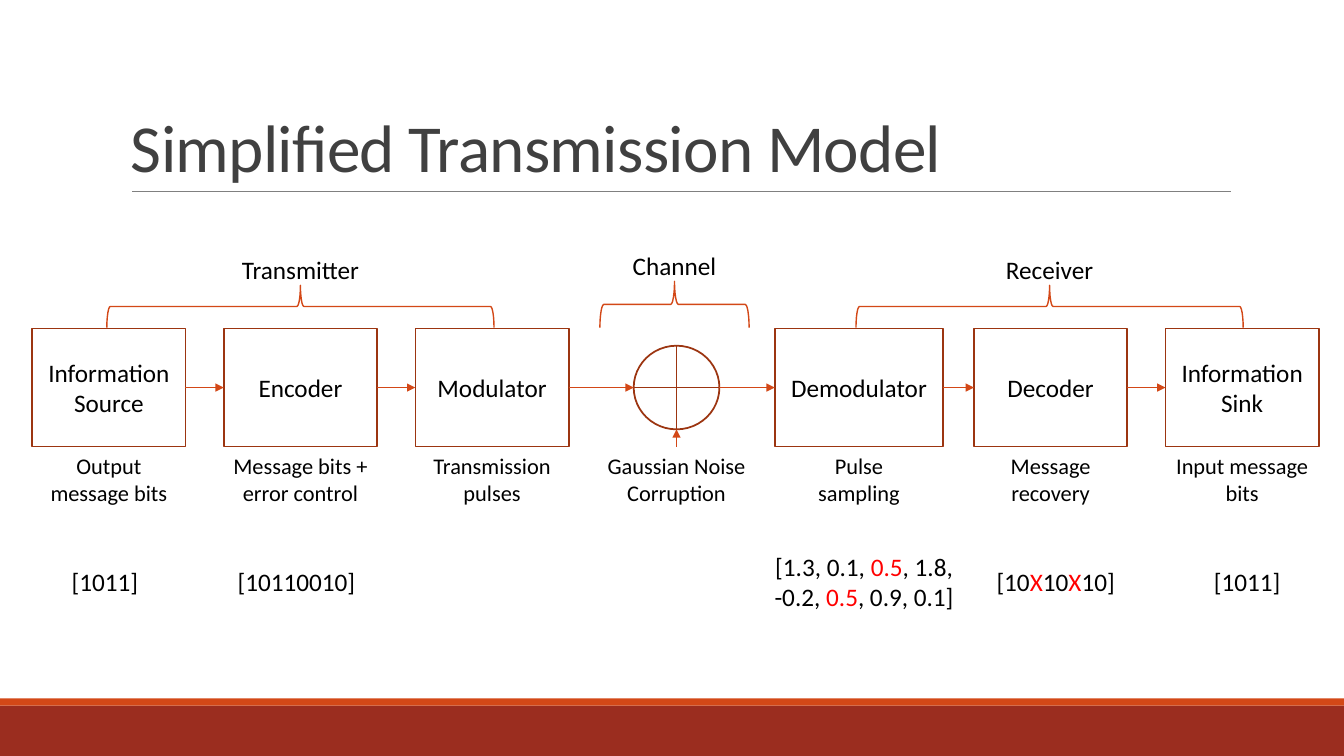
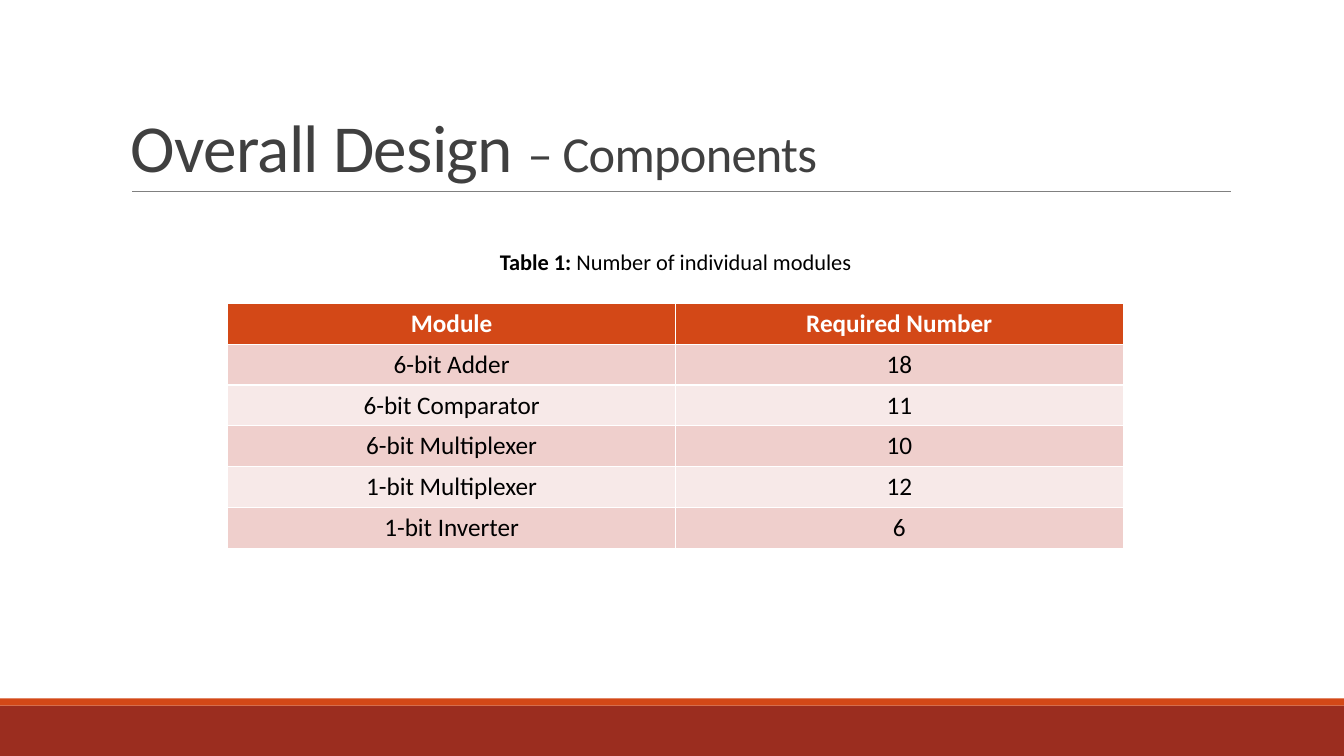
"""Build two slides: a simplified transmission model and its component table."""
from lxml import etree
from pptx import Presentation
from pptx import util as u
from pptx.dml.color import RGBColor
from pptx.enum import shapes, text
from pptx.oxml.ns import qn

WIDTH, HEIGHT = 13.33, 7.5
FONT = "Calibri"
COLORS = {
    "band": "9B2D1F", "accent": "D34817", "rule": "808080", "title": "404040",
    "outline": "9C3511", "text": "000000", "error": "FF0000", "white": "FFFFFF",
    "odd_row": "EFCFCC", "even_row": "F7E9E8",
}
PITCH = 1.9
BOX_TOP, BOX_HEIGHT = 3.26, 1.17
MIDDLE = BOX_TOP + BOX_HEIGHT / 2
CHANNEL = 6.71
CIRCLE_WIDTH, CIRCLE_HEIGHT = 0.85, 0.83
BRACE_BOTTOM = 3.25
CAPTION_TOP, CAPTION_HEIGHT = 4.44, 0.64
BITS_TOP, BITS_WIDTH, BITS_HEIGHT = 5.41, 2.05, 0.71
ERROR = {"color": "error"}

TRANSMITTER = [
    ("Information Source", 1.52, ["Output message bits"], 1.42, ["[1011]"]),
    ("Encoder", 1.52, ["Message bits + error control"], 1.78, ["[10110010]"]),
    ("Modulator", 1.52, ["Transmission", "pulses"], 1.78, None),
]
RECEIVER = [
    ("Demodulator", 1.67, ["Pulse sampling"], 1.53,
     ["[1.3, 0.1, ", ("0.5", ERROR), ", 1.8, -0.2, ", ("0.5", ERROR), ", 0.9, 0.1]"]),
    ("Decoder", 1.52, ["Message recovery"], 1.78,
     ["[10", ("X", ERROR), "10", ("X", ERROR), "10]"]),
    ("Information Sink", 1.52, ["Input message bits"], 1.78, ["[1011]"]),
]
MODULES = [
    ("Module", "Required Number"), ("6-bit Adder", "18"), ("6-bit Comparator", "11"),
    ("6-bit Multiplexer", "10"), ("1-bit Multiplexer", "12"), ("1-bit Inverter", "6"),
]


def rgb(name):
    """Return a named colour."""
    return RGBColor.from_string(COLORS[name])


def style_font(font, size=None, color=None, bold=None):
    """Set the given properties of a font."""
    if size:
        font.size = u.Pt(size)
    if color:
        font.color.rgb = rgb(color)
    if bold is not None:
        font.bold = bold


def write(frame, paragraphs, size=18, color="text", bold=None, align=text.PP_ALIGN.CENTER):
    """Fill a frame with paragraphs, each a list of strings or (string, style) runs."""
    for index, runs in enumerate(paragraphs):
        paragraph = frame.add_paragraph() if index else frame.paragraphs[0]
        paragraph.alignment = align
        paragraph.font.name = FONT
        style_font(paragraph.font, size, color, bold)
        for item in runs:
            words, style = (item, {}) if isinstance(item, str) else item
            run = paragraph.add_run()
            run.text = words
            style_font(run.font, **style)


def add_text(slide, center, top, width, height, paragraphs, anchor=text.MSO_ANCHOR.TOP, **style):
    """Add a wrapping text box centred on a column."""
    box = slide.shapes.add_textbox(
        u.Inches(center - width / 2), u.Inches(top), u.Inches(width), u.Inches(height))
    frame = box.text_frame
    frame.word_wrap = True
    frame.vertical_anchor = anchor
    write(frame, paragraphs, **style)
    return frame


def add_shape(slide, kind, center, middle, width, height, fill=None, line=None, weight=1.25):
    """Add a preset shape around its centre point."""
    shape = slide.shapes.add_shape(
        kind, u.Inches(center - width / 2), u.Inches(middle - height / 2),
        u.Inches(width), u.Inches(height))
    shape.shadow.inherit = False
    if fill:
        shape.fill.solid()
        shape.fill.fore_color.rgb = rgb(fill)
    else:
        shape.fill.background()
    if line:
        shape.line.color.rgb = rgb(line)
        shape.line.width = u.Pt(weight)
    else:
        shape.line.fill.background()
    return shape


def add_line(slide, start, end, color="accent", weight=1, arrow=True):
    """Add a straight line, with an arrowhead at its end on demand."""
    connector = slide.shapes.add_connector(
        shapes.MSO_CONNECTOR.STRAIGHT, *(u.Inches(value) for value in (*start, *end)))
    connector.line.color.rgb = rgb(color)
    connector.line.width = u.Pt(weight)
    properties = connector._element.spPr
    if arrow:
        etree.SubElement(properties.find(qn("a:ln")), qn("a:tailEnd"), type="triangle")
    etree.SubElement(properties, qn("a:effectLst"))
    return connector


def add_brace(slide, label, center, length, depth):
    """Add an upward brace with its label above."""
    brace = add_shape(slide, shapes.MSO_SHAPE.RIGHT_BRACE, center, BRACE_BOTTOM - depth / 2,
                      depth, length, line="accent", weight=1)
    brace.rotation = 270
    add_text(slide, center, BRACE_BOTTOM - depth - 0.36, 1.39, 0.4, [[label]])


def add_caption(slide, center, width, lines):
    """Add the caption under a stage."""
    add_text(slide, center, CAPTION_TOP, width, CAPTION_HEIGHT, [[line] for line in lines], size=16)


def add_stages(slide, first_center, stages, bits_shift):
    """Add a row of linked stages and return their boxes."""
    boxes = []
    for column, (name, width, caption, caption_width, bits) in enumerate(stages):
        center = first_center + column * PITCH
        box = add_shape(slide, shapes.MSO_SHAPE.RECTANGLE, center, MIDDLE,
                        width, BOX_HEIGHT, line="outline")
        box.text_frame.word_wrap = True
        box.text_frame.vertical_anchor = text.MSO_ANCHOR.MIDDLE
        write(box.text_frame, [[name]])
        add_caption(slide, center, caption_width, caption)
        if bits:
            add_text(slide, center + bits_shift, BITS_TOP, BITS_WIDTH, BITS_HEIGHT, [bits],
                     anchor=text.MSO_ANCHOR.MIDDLE)
        boxes.append(box)
    for source, target in zip(boxes, boxes[1:]):
        connector = add_line(slide, (0, MIDDLE), (1, MIDDLE))
        connector.begin_connect(source, 3)
        connector.end_connect(target, 1)
    return boxes


def add_slide(presentation, title):
    """Add a blank slide with the shared bands, title and rule."""
    slide = presentation.slides.add_slide(presentation.slide_layouts[6])
    for top, height, color in ((7, 0.5, "band"), (6.93, 0.07, "accent")):
        add_shape(slide, shapes.MSO_SHAPE.RECTANGLE, WIDTH / 2, top + height / 2,
                  WIDTH, height, fill=color)
    add_line(slide, (1.31, 1.9), (12.21, 1.9), "rule", 0.5, arrow=False)
    frame = add_text(slide, 6.7, 0.31, 11, 1.59, [title], anchor=text.MSO_ANCHOR.BOTTOM,
                     size=48, color="title", align=text.PP_ALIGN.LEFT)
    paragraph = frame.paragraphs[0]
    paragraph.line_spacing = 0.85
    for run in paragraph.runs:
        run._r.get_or_add_rPr().set("spc", "-50")
    return slide


def add_table(slide, rows, left, top, column_width, row_height):
    """Add a centred table with a header and alternating rows."""
    columns = len(rows[0])
    table = slide.shapes.add_table(
        len(rows), columns, u.Inches(left), u.Inches(top),
        u.Inches(column_width * columns), u.Inches(row_height * len(rows))).table
    for row, values in enumerate(rows):
        fill = ("odd_row" if row % 2 else "even_row") if row else "accent"
        for column, value in enumerate(values):
            cell = table.cell(row, column)
            cell.fill.solid()
            cell.fill.fore_color.rgb = rgb(fill)
            write(cell.text_frame, [[value]], color="text" if row else "white", bold=not row)


def build_model(presentation):
    """Build the transmission model slide."""
    slide = add_slide(presentation, ["Simplified Transmission Model"])
    modulator = add_stages(slide, 1.08, TRANSMITTER, -0.04)[-1]
    demodulator = add_stages(slide, 8.52, RECEIVER, 0.05)[0]
    add_shape(slide, shapes.MSO_SHAPE.FLOWCHART_OR, CHANNEL, MIDDLE,
              CIRCLE_WIDTH, CIRCLE_HEIGHT, line="outline")
    radius = CIRCLE_WIDTH / 2
    add_line(slide, (5, MIDDLE), (CHANNEL - radius, MIDDLE)).begin_connect(modulator, 3)
    add_line(slide, (CHANNEL + radius, MIDDLE), (8, MIDDLE)).end_connect(demodulator, 1)
    add_line(slide, (CHANNEL, BOX_TOP + BOX_HEIGHT), (CHANNEL, MIDDLE + CIRCLE_HEIGHT / 2))
    add_caption(slide, CHANNEL, 1.78, ["Gaussian Noise Corruption"])
    add_brace(slide, "Transmitter", 2.98, 3.84, 0.42)
    add_brace(slide, "Channel", 6.69, 1.48, 0.46)
    add_brace(slide, "Receiver", 10.41, 3.84, 0.42)


def build_components(presentation):
    """Build the component table slide."""
    slide = add_slide(presentation, ["Overall Design ", ("– Components", {"size": 36})])
    add_text(slide, 6.7, 2.41, 5.49, 0.37,
             [[("Table 1: ", {"bold": True}), "Number of individual modules"]], size=16)
    add_table(slide, MODULES, 2.26, 3.01, 4.44, 2.43 / len(MODULES))


def main():
    """Build and save the presentation."""
    presentation = Presentation()
    presentation.slide_width = u.Inches(WIDTH)
    presentation.slide_height = u.Inches(HEIGHT)
    build_model(presentation)
    build_components(presentation)
    presentation.save("out.pptx")


if __name__ == "__main__":
    main()
